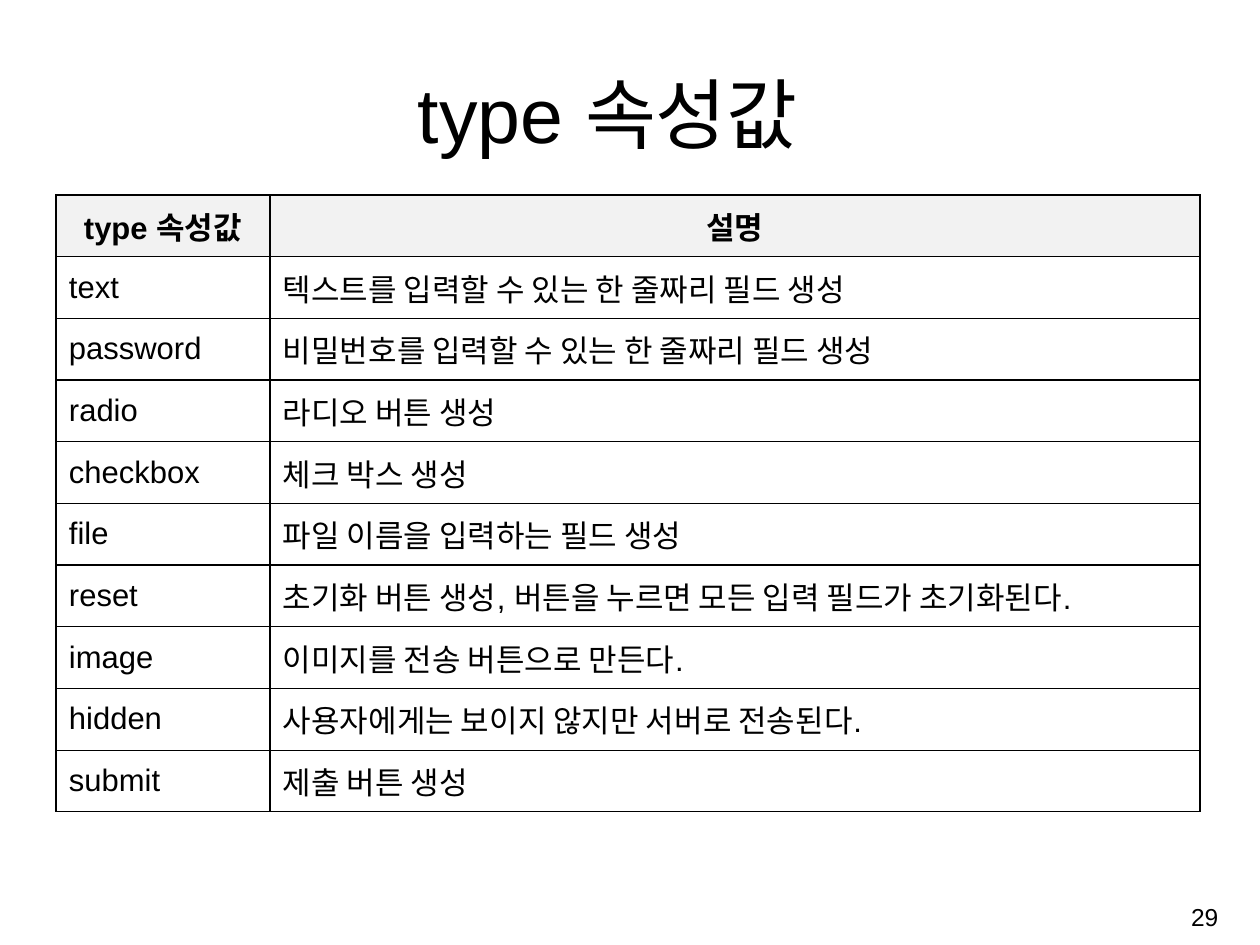
from lxml.etree import SubElement
from pptx import Presentation
from pptx.dml.color import RGBColor
from pptx.enum.text import MSO_ANCHOR, PP_ALIGN
from pptx.oxml.ns import qn
from pptx.util import Pt

SCALE = 914400 / 97
BLACK = RGBColor(0x00, 0x00, 0x00)
GRAY = RGBColor(0xF2, 0xF2, 0xF2)
FONT = "Arial"

HEAD = ("type 속성값", "설명")
TYPES = [
    ("text", "텍스트를 입력할 수 있는 한 줄짜리 필드 생성"),
    ("password", "비밀번호를 입력할 수 있는 한 줄짜리 필드 생성"),
    ("radio", "라디오 버튼 생성"),
    ("checkbox", "체크 박스 생성"),
    ("file", "파일 이름을 입력하는 필드 생성"),
    ("reset", "초기화 버튼 생성, 버튼을 누르면 모든 입력 필드가 초기화된다."),
    ("image", "이미지를 전송 버튼으로 만든다."),
    ("hidden", "사용자에게는 보이지 않지만 서버로 전송된다."),
    ("submit", "제출 버튼 생성"),
]


def px(num):
    return round(num * SCALE)


def set_text(frame, text, size, align, bold=False):
    frame.text = text
    par = frame.paragraphs[0]
    par.alignment = align
    font = par.runs[0].font
    font.name = FONT
    font.size = Pt(size)
    font.bold = bold
    font.color.rgb = BLACK


def add_text(slide, box, text, size, align, anchor):
    frame = slide.shapes.add_textbox(*map(px, box)).text_frame
    frame.word_wrap = True
    frame.vertical_anchor = anchor
    set_text(frame, text, size, align)


def add_lines(cell):
    props = cell._tc.get_or_add_tcPr()
    for at, side in enumerate(("lnL", "lnR", "lnT", "lnB")):
        line = props.makeelement(qn(f"a:{side}"), {"w": str(Pt(1))})
        fill = SubElement(line, qn("a:solidFill"))
        SubElement(fill, qn("a:srgbClr"), val=str(BLACK))
        props.insert(at, line)


def set_cell(cell, text, is_head):
    align = PP_ALIGN.CENTER if is_head else PP_ALIGN.LEFT
    set_text(cell.text_frame, text, 23, align, is_head)
    cell.vertical_anchor = MSO_ANCHOR.MIDDLE
    cell.margin_left = cell.margin_right = px(13)
    cell.margin_top = cell.margin_bottom = px(6)
    if is_head:
        cell.fill.solid()
        cell.fill.fore_color.rgb = GRAY
    else:
        cell.fill.background()
    add_lines(cell)


def add_grid(slide, box, widths, rows):
    frame = slide.shapes.add_table(len(rows), len(widths), *map(px, box))
    table = frame.table
    table.horz_banding = False
    for col, width in zip(table.columns, widths):
        col.width = px(width)
    for r, row in enumerate(rows):
        for c, text in enumerate(row):
            set_cell(table.cell(r, c), text, r == 0)


def main():
    deck = Presentation()
    deck.slide_width = px(1260)
    deck.slide_height = px(945)
    slide = deck.slides.add_slide(deck.slide_layouts[6])

    # Title
    add_text(slide, (102, 59, 1029, 105), "type 속성값 ", 57.2,
             PP_ALIGN.CENTER, MSO_ANCHOR.BOTTOM)

    # Table of type values
    add_grid(slide, (56, 195, 1144, 617), (214, 930), [HEAD, *TYPES])

    # Page number
    add_text(slide, (968, 888, 260, 58), "29", 18.2,
             PP_ALIGN.RIGHT, MSO_ANCHOR.MIDDLE)

    deck.save("out.pptx")


if __name__ == "__main__":
    main()
